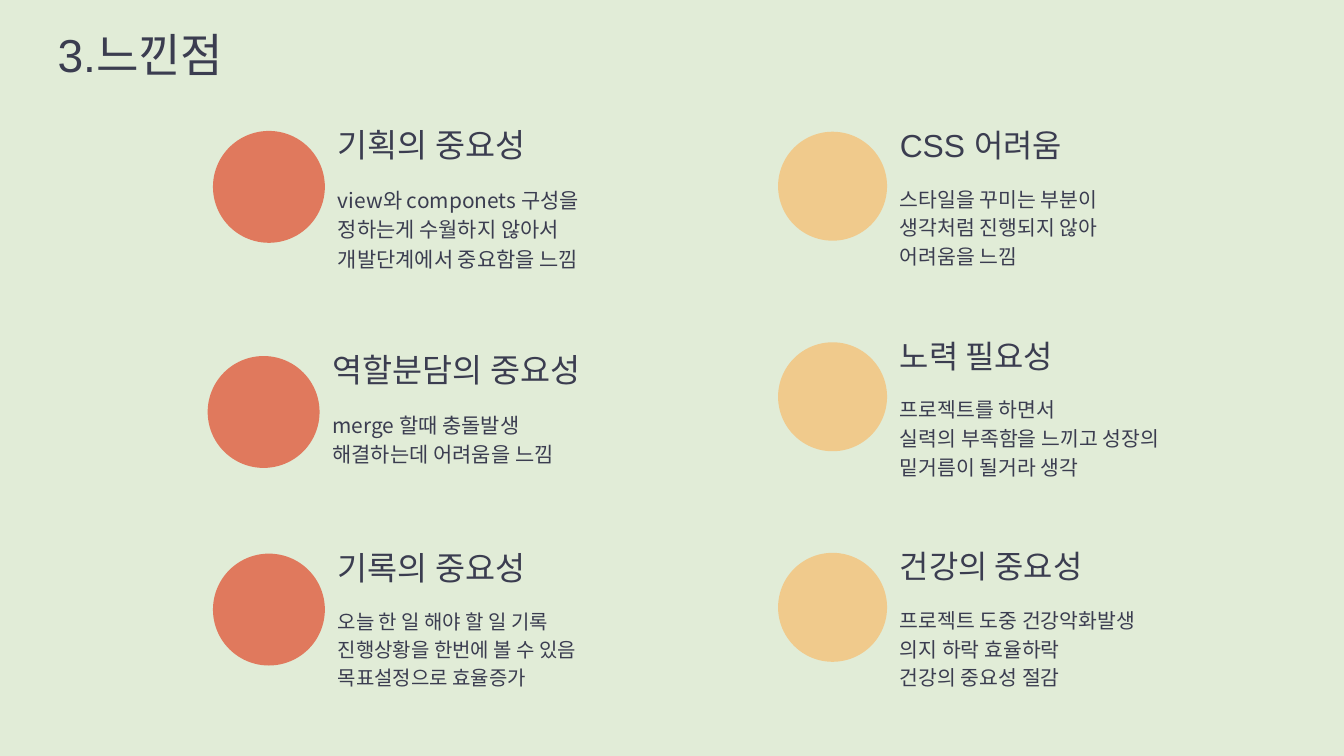
import dataclasses

import pptx
import pptx.dml.color
import pptx.enum.shapes
import pptx.enum.text
import pptx.util

Cm = pptx.util.Cm
ALIGN = pptx.enum.text.PP_ALIGN

COLORS = {
    "background": "E1ECD7",
    "text": "3B3D50",
    "red": "E0795D",
    "yellow": "F0CA8C",
}
LINE_FACTOR = 1.4  # line spacing relative to the font size


@dataclasses.dataclass
class Column:
    """Measures shared by one column, in cm and pt; offsets start at the circle."""
    color: str
    diameter: float
    text_offset: float
    heading_offset: float
    body_offset: float
    width: float
    heading_size: float
    body_size: float


LEFT = Column("red", 4.23, 4.72, -0.48, 1.98, 10.08, 35, 22.4)
RIGHT = Column("yellow", 4.12, 4.6, -0.46, 1.93, 9.83, 34.1, 21.9)
RIGHT_X, RIGHT_TOP, RIGHT_PITCH = 29.41, 4.98, 7.96

# Left column: x, y, heading, heading width, body lines, body size, first-line font
LEFT_REFLECTIONS = [
    (8.05, 4.95, "기획의 중요성", 9.32,
     ["view와 componets 구성을", "정하는게 수월하지 않아서", "개발단계에서 중요함을 느낌"],
     22.4, "Noto Sans CJK KR"),
    (7.85, 13.46, "역할분담의 중요성", 10.52,
     ["merge 할때 충돌발생", "해결하는데 어려움을 느낌"],
     22.4, "Noto Sans CJK KR"),
    (8.05, 20.93, "기록의 중요성", 10.08,
     ["오늘 한 일 해야 할 일 기록", "진행상황을 한번에 볼 수 있음", "목표설정으로 효율증가"],
     21.4, "Calibri"),
]

# Right column: heading, heading font, body lines
RIGHT_REFLECTIONS = [
    ("CSS 어려움", "Arial",
     ["스타일을 꾸미는 부분이", "생각처럼 진행되지 않아", "어려움을 느낌"]),
    ("노력 필요성", "Calibri",
     ["프로젝트를 하면서", "실력의 부족함을 느끼고 성장의 밑거름이 될거라 생각"]),
    ("건강의 중요성", "Calibri",
     ["프로젝트 도중 건강악화발생", "의지 하락 효율하락", "건강의 중요성 절감"]),
]


def color(name):
    return pptx.dml.color.RGBColor.from_string(COLORS[name])


def add_text(shapes, left, top, width, height, lines, size, alignment):
    """Add a text box; lines is a list of (text, font name) pairs."""
    box = shapes.add_textbox(Cm(left), Cm(top), Cm(width), Cm(height))
    frame = box.text_frame
    frame.word_wrap = True
    frame.auto_size = pptx.enum.text.MSO_AUTO_SIZE.SHAPE_TO_FIT_TEXT
    frame.margin_left = frame.margin_right = 0
    frame.margin_top = frame.margin_bottom = 0
    for index, (text, font_name) in enumerate(lines):
        paragraph = frame.add_paragraph() if index else frame.paragraphs[0]
        paragraph.alignment = alignment
        paragraph.line_spacing = pptx.util.Pt(round(size * LINE_FACTOR, 1))
        run = paragraph.add_run()
        run.text = text
        run.font.name = font_name
        run.font.size = pptx.util.Pt(size)
        run.font.color.rgb = color("text")


def add_circle(shapes, left, top, diameter, color_name):
    circle = shapes.add_shape(pptx.enum.shapes.MSO_SHAPE.OVAL,
                              Cm(left), Cm(top), Cm(diameter), Cm(diameter))
    circle.shadow.inherit = False
    circle.fill.solid()
    circle.fill.fore_color.rgb = color(color_name)
    circle.line.fill.background()


def add_reflection(slide, column, left, top, heading, heading_font, heading_width,
                   body, body_size, first_font):
    """Add one group: circle, heading and body text."""
    shapes = slide.shapes.add_group_shape().shapes
    text_left = left + column.text_offset
    add_circle(shapes, left, top, column.diameter, column.color)
    add_text(shapes, text_left, top + column.heading_offset, heading_width, 1.9,
             [(heading, heading_font)], column.heading_size, ALIGN.LEFT)
    fonts = [first_font] + ["Calibri"] * (len(body) - 1)
    body_height = 2.2 if column is LEFT and len(body) == 2 else 3.3
    add_text(shapes, text_left, top + column.body_offset, column.width, body_height,
             list(zip(body, fonts)), body_size, ALIGN.JUSTIFY)


def main():
    presentation = pptx.Presentation()
    presentation.slide_width = Cm(50.8)
    presentation.slide_height = Cm(28.58)
    slide = presentation.slides.add_slide(presentation.slide_layouts[6])
    slide.background.fill.solid()
    slide.background.fill.fore_color.rgb = color("background")

    # Title
    add_text(slide.shapes, -0.48, 0.66, 11.58, 2.79,
             [("3.느낀점", "Arial")], 49.5, ALIGN.CENTER)

    # Left column
    for left, top, heading, width, body, size, first_font in LEFT_REFLECTIONS:
        add_reflection(slide, LEFT, left, top, heading, "Calibri", width,
                       body, size, first_font)

    # Right column
    for row, (heading, heading_font, body) in enumerate(RIGHT_REFLECTIONS):
        add_reflection(slide, RIGHT, RIGHT_X, RIGHT_TOP + row * RIGHT_PITCH,
                       heading, heading_font, RIGHT.width,
                       body, RIGHT.body_size, "Calibri")

    presentation.save("out.pptx")


if __name__ == "__main__":
    main()
